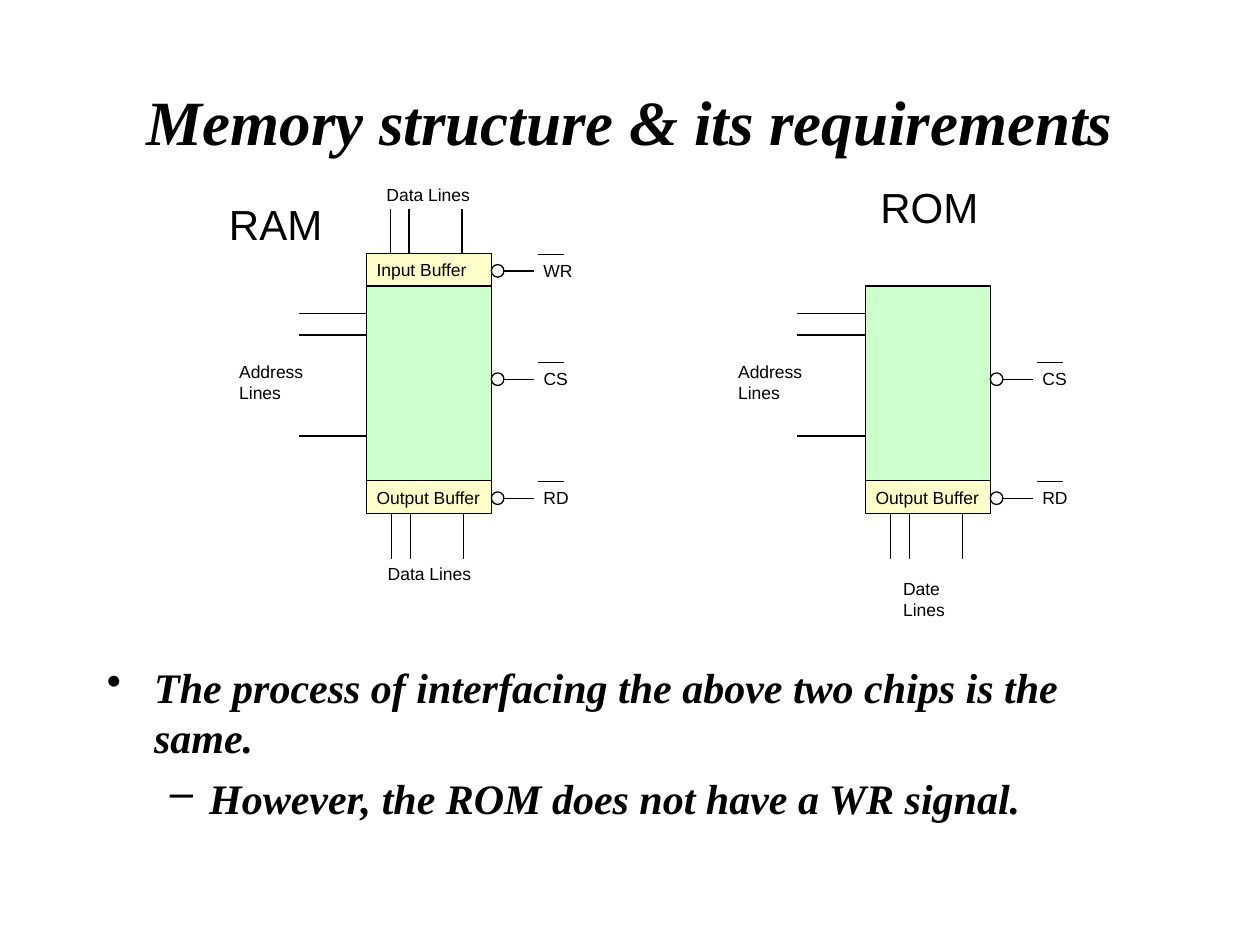
from lxml import etree
from pptx import Presentation
from pptx.dml.color import RGBColor
from pptx.enum import shapes, text
from pptx.oxml.ns import qn
from pptx.util import Pt

BLACK, GREEN, CREAM = "000000", "CCFFCC", "FFFFCC"
CHIP_W, CHIP_H, BUFFER_H = 71.3, 111.4, 18.7
PIN = 7.2


def color(hex_value):
    return RGBColor.from_string(hex_value)


def add_run(p, words, size, font, bold=False):
    """Add one black run; bold runs are also italic."""
    r = p.add_run()
    r.text = words
    r.font.size = Pt(size)
    r.font.name = font
    r.font.color.rgb = color(BLACK)
    if bold:
        r.font.bold = r.font.italic = True


def add_label(s, x, y, w, h, words, size=10):
    """Place unwrapped Arial text, one paragraph for each line."""
    tf = s.shapes.add_textbox(Pt(x), Pt(y), Pt(w), Pt(h)).text_frame
    tf.word_wrap = False
    tf.auto_size = text.MSO_AUTO_SIZE.SHAPE_TO_FIT_TEXT
    for i, line in enumerate(words.split("\n")):
        p = tf.add_paragraph() if i else tf.paragraphs[0]
        add_run(p, line, size, "Arial")


def add_shape(s, kind, x, y, w, h, fill=None):
    sp = s.shapes.add_shape(kind, Pt(x), Pt(y), Pt(w), Pt(h))
    sp.shadow.inherit = False
    if fill:
        sp.fill.solid()
        sp.fill.fore_color.rgb = color(fill)
    else:
        sp.fill.background()
    sp.line.color.rgb = color(BLACK)
    sp.line.width = Pt(0.75)


def add_line(s, x1, y1, x2, y2):
    c = s.shapes.add_connector(shapes.MSO_CONNECTOR.STRAIGHT,
                               Pt(x1), Pt(y1), Pt(x2), Pt(y2))
    c.line.color.rgb = color(BLACK)
    c.line.width = Pt(0.75)
    etree.SubElement(c._element.spPr, qn("a:effectLst"))


def add_signal(s, x, y, name, label_w):
    """Draw an active-low pin whose circle has its top left at x, y."""
    mid = y + PIN / 2
    add_shape(s, shapes.MSO_SHAPE.OVAL, x, y, PIN, PIN)
    add_line(s, x + PIN, mid, x + 24.3, mid)
    add_label(s, x + 22.7, y - 6.3, label_w, 19.4, name)
    add_line(s, x + 26.6, y - 5.8, x + 41.4, y - 5.8)


def add_buffer(s, x, y, words, label_w):
    add_shape(s, shapes.MSO_SHAPE.RECTANGLE, x, y, CHIP_W, BUFFER_H, CREAM)
    add_label(s, x - 1.4, y, label_w, 19.4, words)


def add_data_lines(s, x, y):
    for dx in (14.4, 25, 55.4):
        add_line(s, x + dx, y, x + dx, y + 25.9)


def add_chip(s, x, y):
    """Draw the parts that both memories share, with the body at x, y."""
    right, bottom = x + CHIP_W, y + CHIP_H
    add_shape(s, shapes.MSO_SHAPE.RECTANGLE, x, y, CHIP_W, CHIP_H, GREEN)
    add_buffer(s, x, bottom, "Output Buffer", 73.4)
    for dy in (15.8, 28, 85.7):
        add_line(s, x - 38.9, y + dy, x, y + dy)
    add_label(s, x - 79.9, y + 39.6, 51.1, 31.7, "Address\nLines")
    add_data_lines(s, x, bottom + BUFFER_H)
    add_signal(s, right, y + 49.7, "CS", 28.1)
    add_signal(s, right, bottom + 6.3, "RD", 28.8)


def add_ram(s, x, y):
    add_chip(s, x, y)
    top = y - BUFFER_H
    add_buffer(s, x, top, "Input Buffer", 65.5)
    add_signal(s, x + CHIP_W, top + 6.5, "WR", 31)
    add_data_lines(s, x - 0.8, top - 25.2)
    add_label(s, x + 4.3, y - 61.9, 61.9, 19.4, "Data Lines")
    add_label(s, x + 5, y + 154.8, 61.9, 19.4, "Data Lines")
    add_label(s, x - 85.7, y - 53.3, 67.7, 36, "RAM", 24)


def add_rom(s, x, y):
    add_chip(s, x, y)
    add_label(s, x + 14.4, y + 163.4, 38.2, 31.7, "Date\nLines")
    add_label(s, x + 1.4, y - 63.4, 70.6, 36, "ROM", 24)


def add_title(s, x, y, w, h, words):
    tf = s.shapes.add_textbox(Pt(x), Pt(y), Pt(w), Pt(h)).text_frame
    tf.word_wrap = True
    tf.vertical_anchor = text.MSO_ANCHOR.MIDDLE
    p = tf.paragraphs[0]
    p.alignment = text.PP_ALIGN.CENTER
    add_run(p, words, 36, "Times New Roman", True)


def add_bullets(s, x, y, w, h, items):
    """Add a list of (mark, left margin, hanging indent, words)."""
    tf = s.shapes.add_textbox(Pt(x), Pt(y), Pt(w), Pt(h)).text_frame
    tf.word_wrap = True
    for level, (mark, margin, hang, words) in enumerate(items):
        p = tf.add_paragraph() if level else tf.paragraphs[0]
        p.level = level
        pPr = p._p.get_or_add_pPr()
        pPr.set("marL", str(Pt(margin)))
        pPr.set("indent", str(-Pt(hang)))
        etree.SubElement(pPr, qn("a:buChar")).set("char", mark)
        if level:
            p.space_before = Pt(6)
        add_run(p, words, 24, "Times New Roman", True)


def main():
    prs = Presentation()
    prs.slide_width, prs.slide_height = Pt(720), Pt(540)
    s = prs.slides.add_slide(prs.slide_layouts[6])
    add_title(s, 54, 24, 612, 90, "Memory structure & its requirements")
    add_bullets(s, 54, 374.4, 612, 111.6, [
        ("•", 27, 27, "The process of interfacing the above two chips is the same."),
        ("–", 58.5, 22.5, "However, the ROM does not have a WR signal."),
    ])
    add_rom(s, 494.6, 163.4)
    add_ram(s, 209.5, 163.4)
    prs.save("out.pptx")


if __name__ == "__main__":
    main()
